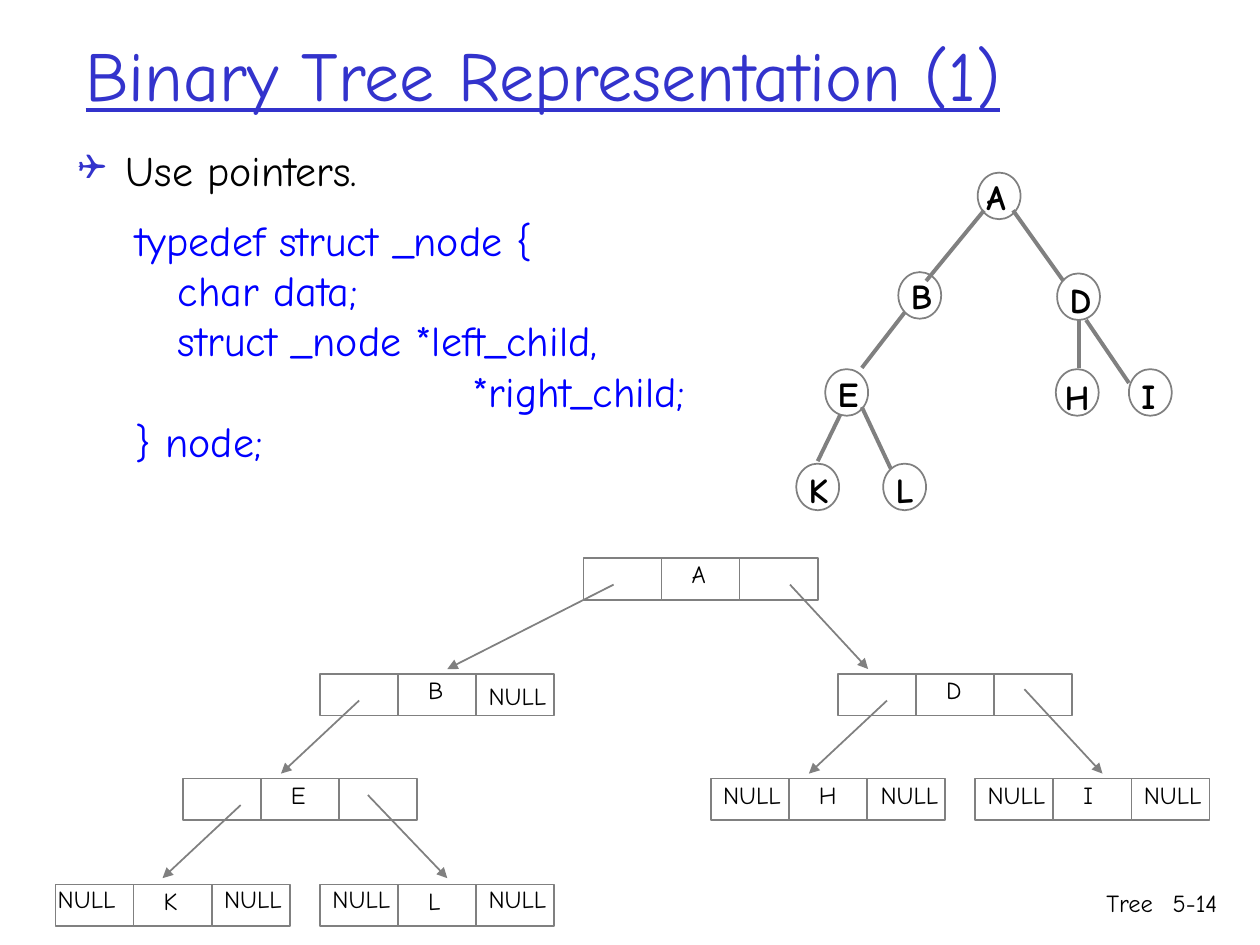
from dataclasses import dataclass

from lxml.etree import SubElement
from pptx import Presentation
from pptx.dml.color import RGBColor
from pptx.enum.shapes import MSO_CONNECTOR, MSO_SHAPE
from pptx.enum.text import MSO_ANCHOR, PP_ALIGN
from pptx.oxml.ns import qn
from pptx.util import Inches, Pt


@dataclass(frozen=True)
class Theme:
    font: str = "Comic Neue"
    ink: str = "000000"
    title: str = "3333CC"
    code: str = "0000FF"
    line: str = "808080"
    title_size: int = 40
    body_size: int = 24
    node_size: int = 20
    small_size: int = 14


THEME = Theme()
CELL_WIDTH, CELL_HEIGHT = 0.62, 0.33
NODE_WIDTH, NODE_HEIGHT = 0.34, 0.37

CODE = """typedef struct _node {
   char data;
   struct _node *left_child,\v                        *right_child;
} node;"""

# Letter, left and top of the circle, then the offset of the letter's box
TREE_NODES = [
    ("A", 7.76, 1.37, -0.03, -0.03),
    ("B", 7.13, 2.16, 0, -0.03),
    ("D", 8.39, 2.17, 0, -0.01),
    ("E", 6.55, 2.93, 0, -0.02),
    ("L", 7.01, 3.68, 0, -0.01),
    ("K", 6.32, 3.68, 0, -0.01),
    ("H", 8.38, 2.93, -0.03, 0),
    ("I", 8.96, 2.93, 0, -0.01),
]
TREE_EDGES = [
    ((7.81, 1.67), (7.35, 2.23)),
    ((8.04, 1.67), (8.44, 2.23)),
    ((7.18, 2.48), (6.84, 2.92)),
    ((8.56, 2.54), (8.56, 2.92)),
    ((8.62, 2.54), (8.96, 3.04)),
    ((6.67, 3.29), (6.49, 3.66)),
    ((6.84, 3.23), (7.07, 3.72)),
]
# Letter, left and top of the record
RECORDS = [
    ("A", 4.63, 4.43),
    ("B", 2.54, 5.35),
    ("D", 6.65, 5.35),
    ("E", 1.45, 6.18),
    ("H", 5.64, 6.18),
    ("I", 7.74, 6.18),
    ("K", 0.44, 7.02),
    ("L", 2.54, 7.02),
]
POINTERS = [
    ((4.87, 4.64), (3.55, 5.31)),
    ((6.27, 4.64), (6.89, 5.31)),
    ((2.85, 5.56), (2.23, 6.14)),
    ((8.13, 5.47), (8.75, 6.14)),
    ((2.92, 6.31), (3.55, 6.97)),
    ((1.91, 6.39), (1.29, 6.97)),
    ((7.04, 5.56), (6.42, 6.14)),
]
# Left and top of each NULL label
NULLS = [
    (0.36, 6.97), (1.68, 6.97), (2.54, 6.97), (3.78, 6.97),
    (5.64, 6.14), (6.89, 6.14), (7.74, 6.14), (8.98, 6.14),
    (3.78, 5.36),
]


def write(frame, text, size=THEME.small_size, color=THEME.ink, bold=False,
          underline=False, align=PP_ALIGN.LEFT, anchor=MSO_ANCHOR.TOP):
    """Fill a text frame; a vertical tab in the text breaks the line."""
    frame.word_wrap = True
    frame.vertical_anchor = anchor
    frame.text = text
    for para in frame.paragraphs:
        para.alignment = align
        for span in para.runs:
            span.font.name = THEME.font
            span.font.size = Pt(size)
            span.font.bold = bold
            span.font.underline = underline
            span.font.color.rgb = RGBColor.from_string(color)


def add_text(page, text, left, top, width, height, **style):
    box = page.shapes.add_textbox(
        Inches(left), Inches(top), Inches(width), Inches(height))
    write(box.text_frame, text, **style)
    return box


def add_bullet(para, character):
    properties = para._p.get_or_add_pPr()
    properties.set("marL", str(Inches(0.38)))
    properties.set("indent", str(-Inches(0.38)))
    color = SubElement(properties, qn("a:buClr"))
    SubElement(color, qn("a:srgbClr"), val=THEME.title)
    SubElement(properties, qn("a:buSzPct"), val="85000")
    SubElement(properties, qn("a:buFont"), typeface="Wingdings")
    SubElement(properties, qn("a:buChar"), char=character)


def add_outline(page, kind, left, top, width, height):
    shape = page.shapes.add_shape(
        kind, Inches(left), Inches(top), Inches(width), Inches(height))
    shape.shadow.inherit = False
    shape.fill.background()
    shape.line.color.rgb = RGBColor.from_string(THEME.line)
    shape.line.width = Pt(1)


def add_line(page, start, end, width, arrow=False):
    line = page.shapes.add_connector(
        MSO_CONNECTOR.STRAIGHT, *map(Inches, start + end))
    line.line.color.rgb = RGBColor.from_string(THEME.line)
    line.line.width = Pt(width)
    if arrow:
        SubElement(line.line._get_or_add_ln(), qn("a:tailEnd"), type="triangle")
    SubElement(line._element.spPr, qn("a:effectLst"))


def add_tree_node(page, letter, left, top, shift_x, shift_y):
    add_outline(page, MSO_SHAPE.OVAL, left, top, NODE_WIDTH, NODE_HEIGHT)
    add_text(page, letter, left + shift_x, top + shift_y, 0.42, 0.44,
             size=THEME.node_size, bold=True)


def add_record(page, letter, left, top):
    """Draw left pointer, data and right pointer cells in a row."""
    for column in range(3):
        add_outline(page, MSO_SHAPE.RECTANGLE, left + column * CELL_WIDTH, top,
                    CELL_WIDTH, CELL_HEIGHT)
    add_text(page, letter, left + CELL_WIDTH + 0.14, top - 0.04, 0.35, 0.34)


def add_heading(page, text):
    title = page.shapes.title
    title.left, title.top = Inches(0.58), Inches(0.25)
    title.width, title.height = Inches(8.5), Inches(0.66)
    write(title.text_frame, text, size=THEME.title_size, color=THEME.title,
          underline=True, anchor=MSO_ANCHOR.MIDDLE)


def main():
    deck = Presentation()
    deck.slide_width, deck.slide_height = Inches(10), Inches(7.5)
    page = deck.slides.add_slide(deck.slide_layouts[5])

    add_text(page, "Tree", 6.08, 7, 3.17, 0.5, align=PP_ALIGN.RIGHT)
    add_text(page, "5-14", 9.08, 7, 0.68, 0.5, align=PP_ALIGN.RIGHT)
    add_heading(page, "Binary Tree Representation (1)")
    body = add_text(page, "Use pointers.", 0.52, 1.1, 9.03, 0.74,
                    size=THEME.body_size)
    add_bullet(body.text_frame.paragraphs[0], "❑")
    add_text(page, CODE, 0.98, 1.65, 4.88, 2.12,
             size=THEME.body_size, color=THEME.code)

    for node in TREE_NODES:
        add_tree_node(page, *node)
    for start, end in TREE_EDGES:
        add_line(page, start, end, 2.25)
    for record in RECORDS:
        add_record(page, *record)
    for start, end in POINTERS:
        add_line(page, start, end, 1, arrow=True)
    for left, top in NULLS:
        add_text(page, "NULL", left, top, 0.73, 0.34)

    deck.save("out.pptx")


if __name__ == "__main__":
    main()
